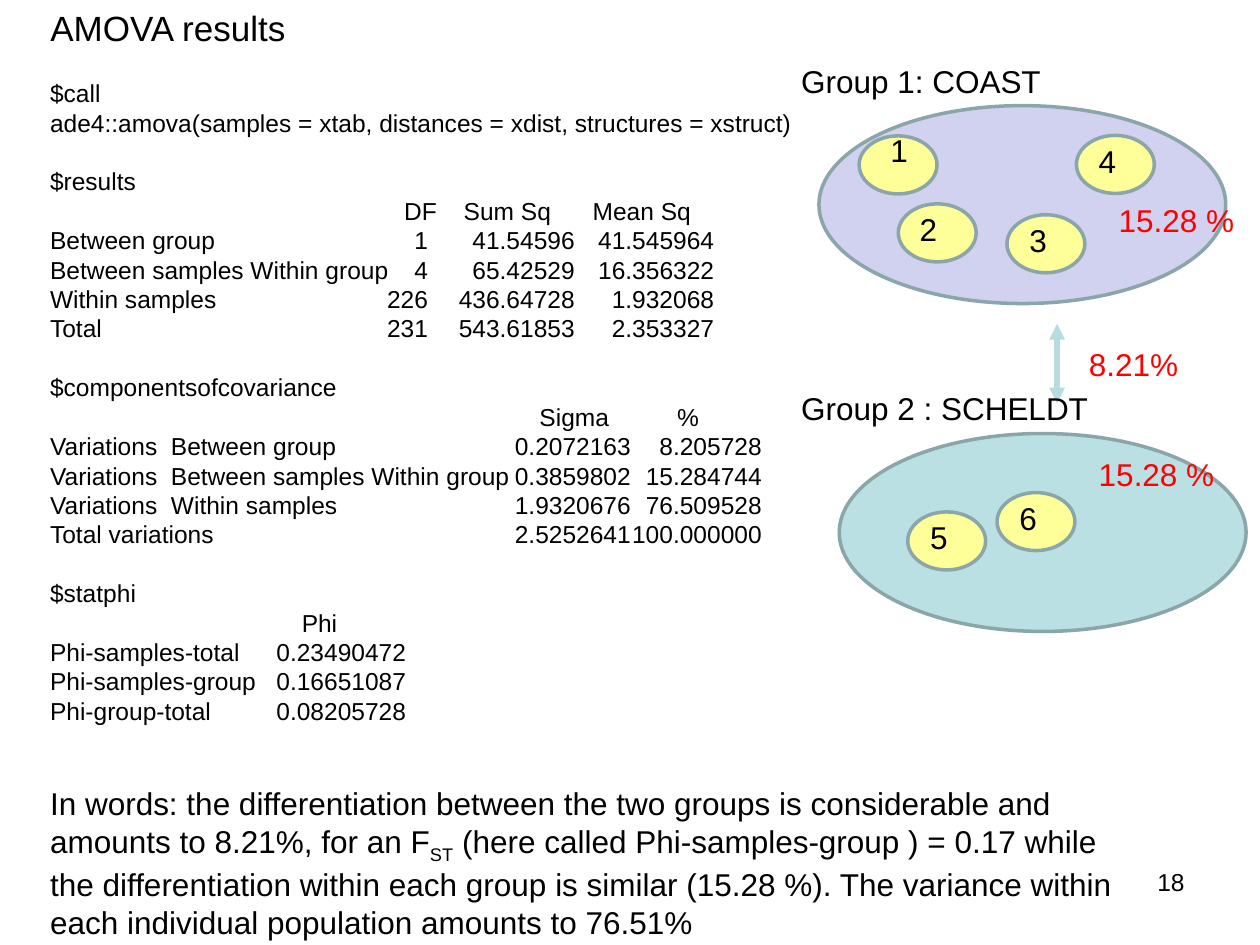
from lxml import etree
from pptx import Presentation
from pptx.dml.color import RGBColor
from pptx.enum.shapes import MSO_CONNECTOR, MSO_SHAPE
from pptx.enum.text import MSO_ANCHOR, MSO_AUTO_SIZE, PP_ALIGN
from pptx.oxml.ns import qn
from pptx.util import Cm, Pt

OVAL = MSO_SHAPE.OVAL
STRAIGHT = MSO_CONNECTOR.STRAIGHT
TOP = MSO_ANCHOR.TOP
NO_AUTOFIT = MSO_AUTO_SIZE.NONE
LEFT, RIGHT = PP_ALIGN.LEFT, PP_ALIGN.RIGHT

BLACK, RED, OUTLINE = "000000", "FF0000", "8AA6A8"
LAVENDER, AQUA, YELLOW, ARROW = "D1D1F0", "BBE0E3", "FFFF99", "B6DCDF"

TITLE = "AMOVA results"
SECTIONS = [
    {"heading": "$call", "columns": [], "column_stops": [], "value_stops": [],
     "rows": [("ade4::amova(samples = xtab, distances = xdist, structures = xstruct)",)]},
    {"heading": "$results", "columns": ["DF", "Sum Sq", "Mean Sq"],
     "column_stops": [7.8, 10.1, 12.92], "value_stops": [7.62, 10.58, 13.39],
     "rows": [("Between group", "1", "41.54596", "41.545964"),
              ("Between samples Within group", "4", "65.42529", "16.356322"),
              ("Within samples", "226", "436.64728", "1.932068"),
              ("Total", "231", "543.61853", "2.353327")]},
    {"heading": "$componentsofcovariance", "columns": ["Sigma", "%"],
     "column_stops": [11.27, 13.08], "value_stops": [11.71, 14.35],
     "rows": [("Variations  Between group", "0.2072163", "8.205728"),
              ("Variations  Between samples Within group", "0.3859802", "15.284744"),
              ("Variations  Within samples", "1.9320676", "76.509528"),
              ("Total variations", "2.5252641", "100.000000")]},
    {"heading": "$statphi", "columns": ["Phi"],
     "column_stops": [5.79], "value_stops": [7.18],
     "rows": [("Phi-samples-total", "0.23490472"),
              ("Phi-samples-group", "0.16651087"),
              ("Phi-group-total", "0.08205728")]},
]
SUMMARY = [
    "In words: the differentiation between the two groups is considerable and "
    "amounts to 8.21%, for an F",
    "ST",
    " (here called Phi-samples-group ) = 0.17 while the differentiation within each "
    "group is similar (15.28 %). The variance within each individual population "
    "amounts to 76.51%",
]
GROUPS = [(16.51, 2.13, LAVENDER), (16.92, 8.74, AQUA)]
GROUP_SIZE = (8.2, 3.99)
SAMPLES = [
    ("1", 17.32, 2.74, 0.38, -0.23),
    ("2", 18.11, 4.11, 0.18, 0),
    ("3", 20.3, 4.33, 0.2, 0),
    ("4", 21.7, 2.73, 0.2, 0),
    ("5", 18.3, 10.32, 0.2, 0),
    ("6", 20.1, 9.93, 0.2, 0),
]
SAMPLE_SIZE = (1.57, 1.17)
CAPTIONS = [
    ("Group 1: COAST", 15.9, 1.12, 5.99, BLACK),
    ("Group 2 : SCHELDT", 15.9, 7.72, 8.81, BLACK),
    ("8.21%", 21.7, 6.84, 3, RED),
    ("15.28 %", 22.3, 3.93, 3.4, RED),
    ("15.28 %", 21.9, 9.04, 3.4, RED),
]


def set_font(font, size, color=BLACK):
    font.name = "Arial"
    font.size = Pt(size)
    font.color.rgb = RGBColor.from_string(color)


def add_label(slide, text, left, top, width, size=18, color=BLACK, align=LEFT):
    label = slide.shapes.add_textbox(Cm(left), Cm(top), Cm(width), Cm(1.02))
    label.text_frame.word_wrap = True
    paragraph = label.text_frame.paragraphs[0]
    paragraph.text = text
    paragraph.alignment = align
    set_font(paragraph.font, size, color)


def add_ellipse(slide, left, top, size, color):
    ellipse = slide.shapes.add_shape(OVAL, Cm(left), Cm(top), *map(Cm, size))
    ellipse.shadow.inherit = False
    ellipse.fill.solid()
    ellipse.fill.fore_color.rgb = RGBColor.from_string(color)
    ellipse.line.color.rgb = RGBColor.from_string(OUTLINE)
    ellipse.line.width = Pt(2)


def add_title(slide):
    title = slide.shapes.title
    title.left, title.top, title.width, title.height = map(Cm, (0.76, 0, 14, 1.3))
    frame = title.text_frame
    frame.text = TITLE
    frame.auto_size = NO_AUTOFIT
    frame.vertical_anchor = TOP
    frame.paragraphs[0].alignment = LEFT
    set_font(frame.paragraphs[0].font, 20)


def add_line(frame, text="", size=14, before=0, stops=()):
    first = frame.paragraphs[0]
    paragraph = frame.add_paragraph() if first.runs else first
    paragraph.text = text
    paragraph.space_before = Pt(before)
    set_font(paragraph.font, size)
    if stops:
        tabs = etree.Element(qn("a:tabLst"))
        for stop in stops:
            etree.SubElement(tabs, qn("a:tab"), pos=str(Cm(stop)), algn="r")
        paragraph._p.pPr.find(qn("a:defRPr")).addprevious(tabs)
    return paragraph


def add_output(slide):
    output = slide.shapes.add_textbox(Cm(0.76), Cm(1.45), Cm(22.5), Cm(17.52))
    frame = output.text_frame
    frame.word_wrap = True
    for index, section in enumerate(SECTIONS):
        add_line(frame, section["heading"], before=16.8 if index else 0)
        if section["columns"]:
            add_line(frame, "\t".join(["", *section["columns"]]),
                     stops=section["column_stops"])
        for row in section["rows"]:
            add_line(frame, "\t".join(row), stops=section["value_stops"])
    summary = add_line(frame, size=18, before=33.6)
    for text in SUMMARY:
        run = summary.add_run()
        run.text = text
        if text == "ST":
            run.font._element.set("baseline", "-25000")


def add_double_arrow(slide, x, top, bottom):
    arrow = slide.shapes.add_connector(STRAIGHT, Cm(x), Cm(bottom), Cm(x), Cm(top))
    arrow.line.color.rgb = RGBColor.from_string(ARROW)
    arrow.line.width = Pt(3)
    outline = arrow.line._get_or_add_ln()
    for end in ("a:headEnd", "a:tailEnd"):
        etree.SubElement(outline, qn(end), type="triangle")
    etree.SubElement(arrow._element.spPr, qn("a:effectLst"))


def main():
    presentation = Presentation()
    presentation.slide_width, presentation.slide_height = Cm(25.4), Cm(19.05)
    slide = presentation.slides.add_slide(presentation.slide_layouts[5])
    add_title(slide)
    add_output(slide)
    add_label(slide, "18", 18.21, 17.35, 5.92, size=14, align=RIGHT)

    for left, top, color in GROUPS:
        add_ellipse(slide, left, top, GROUP_SIZE, color)
    add_double_arrow(slide, 21.31, 6.53, 8.13)
    for number, left, top, shift_x, shift_y in SAMPLES:
        add_ellipse(slide, left, top, SAMPLE_SIZE, YELLOW)
        add_label(slide, number, left + shift_x, top + shift_y, 0.99)
    for text, left, top, width, color in CAPTIONS:
        add_label(slide, text, left, top, width, color=color)
    presentation.save("out.pptx")


if __name__ == "__main__":
    main()
